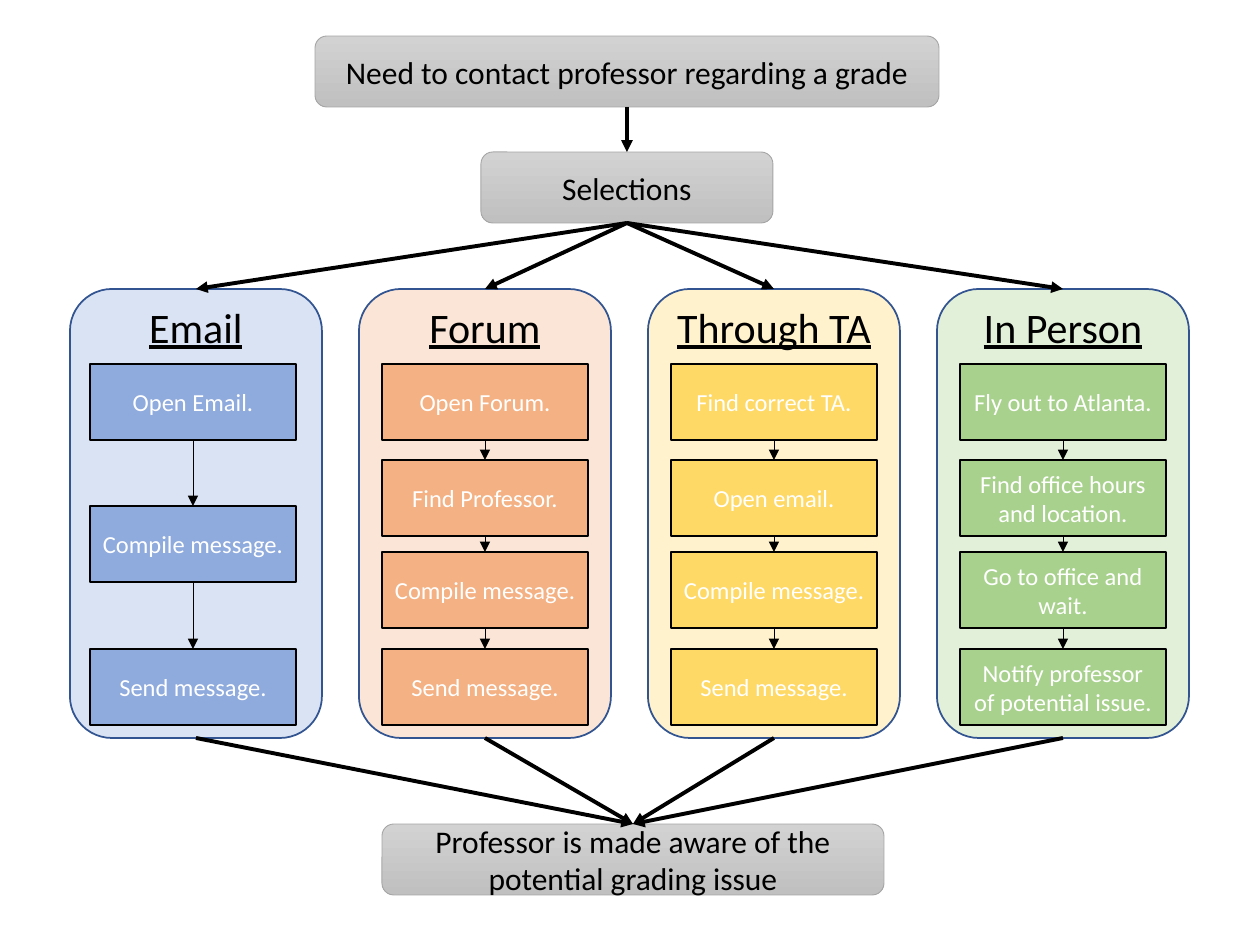
from itertools import pairwise

from lxml import etree
from pptx import Presentation
from pptx import util as u
from pptx.dml.color import RGBColor
from pptx.enum import shapes, text
from pptx.oxml.ns import qn

PX_PER_INCH = 126
TOP_SITE, BOTTOM_SITE = 0, 2
LANE_LEFT, LANE_TOP, LANE_PITCH = 70, 289, 289
LANE_WIDTH, LANE_HEIGHT = 252, 449
STEP_WIDTH, STEP_HEIGHT, STEP_INSET = 206, 76, 23
THREE_TOPS = (75, 217, 360)
FOUR_TOPS = (75, 171, 263, 360)

LANES = [
    ("Email", "DAE3F3", "8FAADC", 20, THREE_TOPS,
     ["Open Email.", "Compile message.", "Send message."]),
    ("Forum", "FBE5D6", "F4B183", STEP_INSET, FOUR_TOPS,
     ["Open Forum.", "Find Professor.", "Compile message.", "Send message."]),
    ("Through TA", "FFF2CC", "FFD966", STEP_INSET, FOUR_TOPS,
     ["Find correct TA.", "Open email.", "Compile message.", "Send message."]),
    ("In Person", "E2F0D9", "A9D18E", STEP_INSET, FOUR_TOPS,
     ["Fly out to Atlanta.", "Find office hours and location.",
      "Go to office and wait.", "Notify professor of potential issue."]),
]


def px(length):
    return u.Emu(round(length * 914400 / PX_PER_INCH))


def color(value):
    return RGBColor.from_string(value)


def write(shape, words, size=18, ink="000000", underline=False,
          anchor=text.MSO_ANCHOR.MIDDLE, side=12, top=6):
    frame = shape.text_frame
    frame.word_wrap = True
    frame.vertical_anchor = anchor
    frame.margin_left = frame.margin_right = px(side)
    frame.margin_top = frame.margin_bottom = px(top)
    paragraph = frame.paragraphs[0]
    paragraph.alignment = text.PP_ALIGN.CENTER
    run = paragraph.add_run()
    run.text = words
    run.font.name = "Calibri"
    run.font.size = u.Pt(size)
    run.font.underline = underline
    run.font.color.rgb = color(ink)


def add_box(slide, kind, box, line, weight, fill=None):
    shape = slide.shapes.add_shape(kind, *map(px, box))
    shape.shadow.inherit = False
    shape.line.color.rgb = color(line)
    shape.line.width = u.Pt(weight)
    if fill:
        shape.fill.solid()
        shape.fill.fore_color.rgb = color(fill)
    return shape


def add_arrow(slide, source, target, weight):
    connector = slide.shapes.add_connector(shapes.MSO_CONNECTOR.STRAIGHT, 0, 0, 0, 0)
    connector.begin_connect(source, BOTTOM_SITE)
    connector.end_connect(target, TOP_SITE)
    connector.line.color.rgb = color("000000")
    connector.line.width = u.Pt(weight)
    properties = connector._element.spPr
    etree.SubElement(properties.find(qn("a:ln")), qn("a:tailEnd"), type="triangle")
    etree.SubElement(properties, qn("a:effectLst"))


def add_milestone(slide, box, words):
    shape = add_box(slide, shapes.MSO_SHAPE.ROUNDED_RECTANGLE, box, "A5A5A5", 0.5)
    shape.fill.gradient()
    shape.fill.gradient_angle = 270
    for stop, shade, position in zip(shape.fill.gradient_stops, ("D2D2D2", "C0C0C0"), (0, 1)):
        stop.color.rgb = color(shade)
        stop.position = position
    write(shape, words)
    return shape


def add_lane(slide, box, heading, lane_fill, step_fill, inset, tops, steps):
    left, top, _, _ = box
    lane = add_box(slide, shapes.MSO_SHAPE.ROUNDED_RECTANGLE, box, "325491", 1, lane_fill)
    write(lane, heading, size=24, underline=True, anchor=text.MSO_ANCHOR.TOP, side=0, top=0)
    step_shapes = []
    for offset, words in zip(tops, steps):
        step_box = (left + inset, top + offset, STEP_WIDTH, STEP_HEIGHT)
        step = add_box(slide, shapes.MSO_SHAPE.RECTANGLE, step_box, "000000", 1, step_fill)
        write(step, words, size=14, ink="FFFFFF")
        step_shapes.append(step)
    for source, target in pairwise(step_shapes):
        add_arrow(slide, source, target, 0.5)
    return lane


def add_flowchart(slide):
    need = add_milestone(slide, (315, 36, 624, 71), "Need to contact professor regarding a grade")
    selections = add_milestone(slide, (481, 152, 292, 71), "Selections")
    outcome = add_milestone(slide, (382, 824, 502, 71),
                            "Professor is made aware of the potential grading issue")
    add_arrow(slide, need, selections, 2.25)
    for index, details in enumerate(LANES):
        box = (LANE_LEFT + index * LANE_PITCH, LANE_TOP, LANE_WIDTH, LANE_HEIGHT)
        lane = add_lane(slide, box, *details)
        add_arrow(slide, selections, lane, 2.25)
        add_arrow(slide, lane, outcome, 2.25)


def main():
    presentation = Presentation()
    presentation.slide_width = px(1260)
    presentation.slide_height = px(945)
    slide = presentation.slides.add_slide(presentation.slide_layouts[6])
    add_flowchart(slide)
    presentation.save("out.pptx")


if __name__ == "__main__":
    main()
